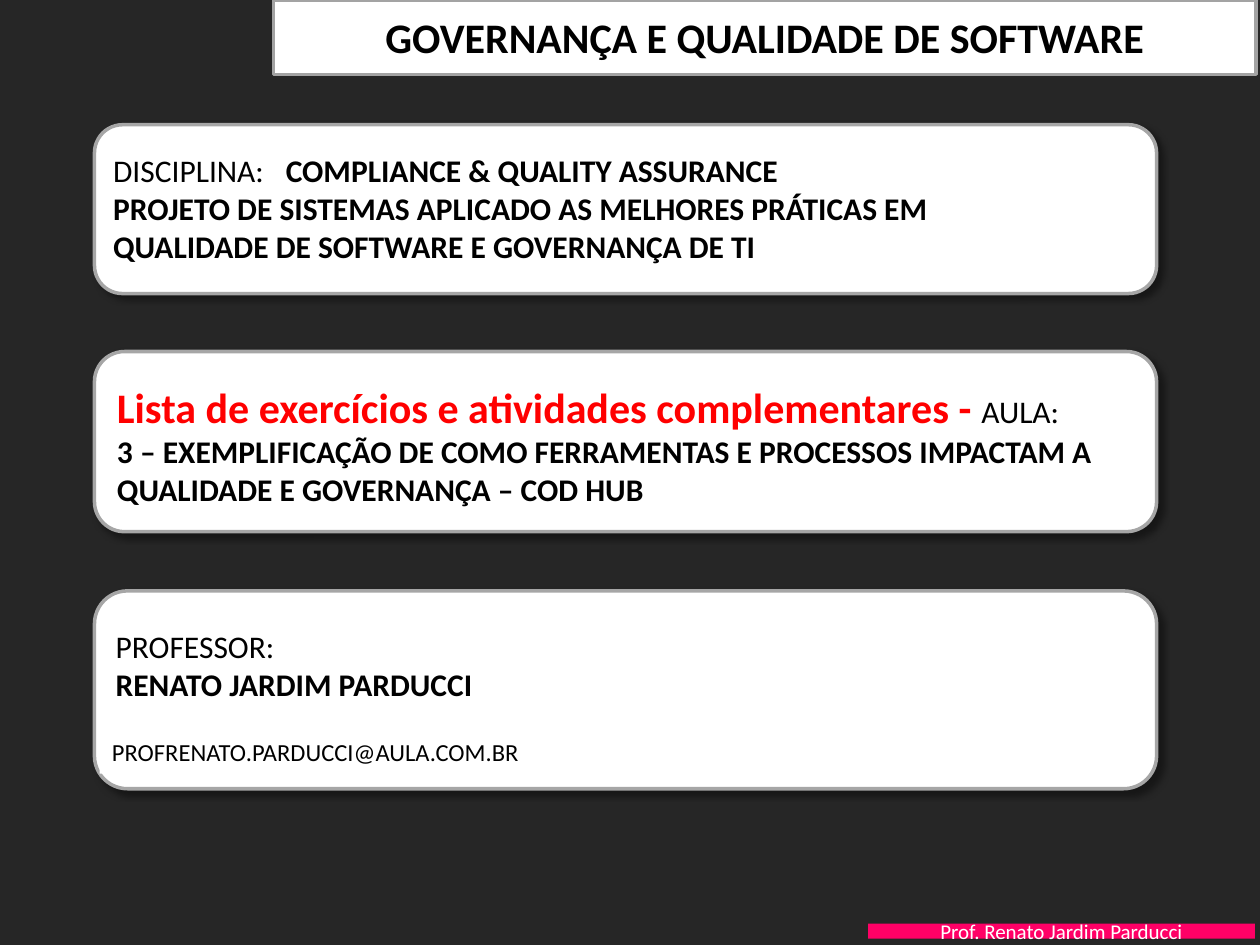
from lxml import etree
from pptx import Presentation
from pptx.dml.color import RGBColor
from pptx.enum.shapes import MSO_SHAPE
from pptx.enum.text import MSO_ANCHOR, MSO_AUTO_SIZE, PP_ALIGN
from pptx.oxml.ns import qn
from pptx.util import Inches, Pt

DARK = RGBColor(0x26, 0x26, 0x26)
WHITE = RGBColor(0xFF, 0xFF, 0xFF)
BLACK = RGBColor(0, 0, 0)
RED = RGBColor(0xFF, 0, 0)
PINK = RGBColor(0xFF, 0, 0x66)
HEADER_GRAY = RGBColor(0xA3, 0xA3, 0xA3)
CARD_GRAY = RGBColor(0xA6, 0xA6, 0xA6)
CARD_LEFT, CARD_WIDTH = 0.75, 8.43


def add_run(paragraph, text, size=18, bold=False, color=BLACK):
    run = paragraph.add_run()
    run.text = text
    run.font.name = "Calibri"
    run.font.size = Pt(size)
    run.font.bold = bold
    run.font.color.rgb = color


def add_card(top, height):
    card = slide.shapes.add_shape(
        MSO_SHAPE.ROUNDED_RECTANGLE,
        Inches(CARD_LEFT), Inches(top), Inches(CARD_WIDTH), Inches(height))
    card.fill.solid()
    card.fill.fore_color.rgb = WHITE
    card.line.color.rgb = CARD_GRAY
    card.line.width = Pt(2)
    card.shadow.inherit = False
    effects = card._element.spPr.find(qn("a:effectLst"))
    shadow = etree.SubElement(
        effects, qn("a:outerShdw"), blurRad=str(Pt(4)), dist=str(Pt(3)),
        dir=str(45 * 60000), algn="tl", rotWithShape="0")
    color = etree.SubElement(shadow, qn("a:srgbClr"), val="000000")
    etree.SubElement(color, qn("a:alpha"), val="40000")


prs = Presentation()
prs.slide_width, prs.slide_height = Inches(10), Inches(7.5)
slide = prs.slides.add_slide(prs.slide_layouts[5])
slide.background.fill.solid()
slide.background.fill.fore_color.rgb = DARK

title = slide.shapes.title
title.left, title.top = Inches(2.17), Inches(0)
title.width, title.height = Inches(7.8), Inches(0.59)
title.fill.solid()
title.fill.fore_color.rgb = WHITE
title.line.color.rgb = HEADER_GRAY
title.line.width = Pt(2)
title.text_frame.auto_size = MSO_AUTO_SIZE.NONE
title.text_frame.vertical_anchor = MSO_ANCHOR.MIDDLE
title.text_frame.paragraphs[0].alignment = PP_ALIGN.CENTER
add_run(title.text_frame.paragraphs[0], "GOVERNANÇA E QUALIDADE DE SOFTWARE", 24, True)

footer = slide.shapes.add_shape(
    MSO_SHAPE.RECTANGLE, Inches(6.89), Inches(7.33), Inches(3.07), Inches(0.12))
footer.fill.solid()
footer.fill.fore_color.rgb = PINK
footer.line.fill.background()
footer.shadow.inherit = False
footer.text_frame.margin_top = footer.text_frame.margin_bottom = 0
footer.text_frame.vertical_anchor = MSO_ANCHOR.MIDDLE
footer.text_frame.paragraphs[0].alignment = PP_ALIGN.CENTER
add_run(footer.text_frame.paragraphs[0], "Prof. Renato Jardim Parducci", 12, color=WHITE)

for top, height in [(0.99, 1.34), (2.79, 1.43), (4.69, 1.57)]:
    add_card(top, height)

texts = [
    (0.8, 1.15, 6.9, 1.01, [
        [("DISCIPLINA:\t",), ("COMPLIANCE & QUALITY ASSURANCE", 18, True)],
        [("PROJETO DE SISTEMAS APLICADO AS MELHORES PRÁTICAS EM", 18, True)],
        [("QUALIDADE DE SOFTWARE E GOVERNANÇA DE TI", 18, True)]]),
    (0.83, 2.98, 8.19, 1.11, [
        [("Lista de exercícios e atividades complementares - ", 24, True, RED), ("AULA:",)],
        [("3 – EXEMPLIFICAÇÃO DE COMO FERRAMENTAS E PROCESSOS IMPACTAM A "
          "QUALIDADE E GOVERNANÇA – COD HUB", 18, True)]]),
    (0.82, 4.93, 3.23, 0.71, [
        [("PROFESSOR:",)],
        [("RENATO JARDIM PARDUCCI", 18, True)]]),
    (0.79, 5.8, 3.6, 0.34, [
        [("PROFRENATO.PARDUCCI@AULA.COM.BR", 14)]]),
]
for left, top, width, height, paragraphs in texts:
    box = slide.shapes.add_textbox(Inches(left), Inches(top), Inches(width), Inches(height))
    box.fill.solid()
    box.fill.fore_color.rgb = WHITE
    frame = box.text_frame
    frame.word_wrap = True
    for index, runs in enumerate(paragraphs):
        paragraph = frame.add_paragraph() if index else frame.paragraphs[0]
        for run in runs:
            add_run(paragraph, *run)
        if "\t" in runs[0][0]:
            tabs = etree.SubElement(paragraph._p.get_or_add_pPr(), qn("a:tabLst"))
            etree.SubElement(tabs, qn("a:tab"), pos=str(Inches(1.37)), algn="l")

prs.save("out.pptx")
